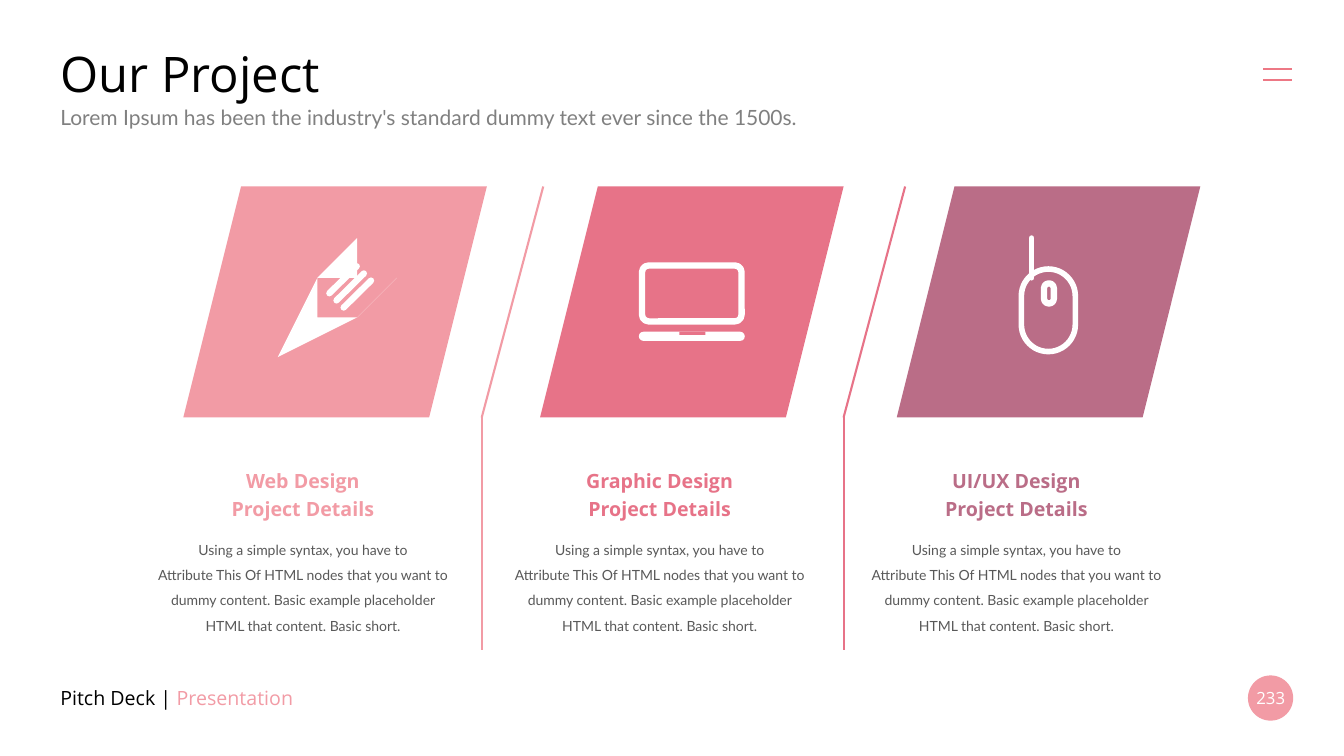
from lxml import etree
from pptx import Presentation
from pptx.dml.color import RGBColor
from pptx.enum import shapes, text
from pptx.oxml import ns
from pptx.util import Cm, Pt

SHAPE = shapes.MSO_SHAPE
PINK, ROSE, MAUVE, WHITE = "F29BA5", "E77388", "BA6D87", "FFFFFF"
TITLE_FONT, BODY_FONT = "Open Sans", "Lato"

presentation = Presentation()
presentation.slide_width, presentation.slide_height = Cm(33.87), Cm(19.05)
slide = presentation.slides.add_slide(presentation.slide_layouts[6])


def paint(shape, fill=None, line=None, width=0):
    """Set fill and outline; None leaves either one off."""
    shape.shadow.inherit = False
    for target, color in ((shape.fill, fill), (shape.line.fill, line)):
        if color:
            target.solid()
            target.fore_color.rgb = RGBColor.from_string(color)
        else:
            target.background()
    if line:
        shape.line.width = Pt(width)
        shape.line._get_or_add_ln().set("cap", "rnd")


def add_text(box, paragraphs, font, anchor="MIDDLE", align="LEFT", spacing=None):
    """Add a text box; each paragraph is a list of (text, colour) runs."""
    frame = slide.shapes.add_textbox(*map(Cm, box)).text_frame
    frame.word_wrap = True
    frame.vertical_anchor = text.MSO_ANCHOR[anchor]
    for index, runs in enumerate(paragraphs):
        paragraph = frame.add_paragraph() if index else frame.paragraphs[0]
        paragraph.alignment = text.PP_ALIGN[align]
        if spacing:
            paragraph.line_spacing = Pt(spacing)
        for words, color in runs:
            run = paragraph.add_run()
            run.text = words
            for name, value in font.items():
                setattr(run.font, name, value)
            run.font.color.rgb = RGBColor.from_string(color)


# Title, subtitle and footer
add_text((1.27, 0.99, 31.32, 1.68), [[("Our Project", "000000")]],
         {"name": TITLE_FONT, "size": Pt(35)})
add_text((1.27, 2.51, 31.32, 0.89),
         [[("Lorem Ipsum has been the industry's standard dummy text "
            "ever since the 1500s.", "808080")]],
         {"name": BODY_FONT, "size": Pt(15)}, anchor="TOP")
add_text((1.27, 17.07, 8.36, 1.02),
         [[("Pitch Deck | ", "000000"), ("Presentation", PINK)]],
         {"name": TITLE_FONT, "size": Pt(14)})
badge = slide.shapes.add_shape(SHAPE.OVAL, Cm(31.45), Cm(17.02), Cm(1.14), Cm(1.14))
paint(badge, PINK)
add_text((31.34, 17.3, 1.37, 0.56), [[("233", WHITE)]],
         {"name": TITLE_FONT, "size": Pt(12)}, align="CENTER")

# Three project columns
projects = [("Web Design", PINK), ("Graphic Design", ROSE), ("UI/UX Design", MAUVE)]
details = [
    "Using a simple syntax, you have to",
    "Attribute This Of HTML nodes that you want to dummy content. "
    "Basic example placeholder HTML that content. Basic short.",
]
for column, (project, color) in enumerate(projects):
    shift = 8.99 * column
    panel = slide.shapes.add_shape(
        SHAPE.PARALLELOGRAM, Cm(4.62 + shift), Cm(4.7), Cm(7.65), Cm(5.82))
    paint(panel, color)
    add_text((3.76 + shift, 11.58, 7.75, 1.63),
             [[(project, color)], [("Project Details", color)]],
             {"name": TITLE_FONT, "size": Pt(14), "bold": True},
             anchor="TOP", align="CENTER", spacing=20)
    add_text((3.61 + shift, 13.31, 8.05, 2.74),
             [[(line, "595959")] for line in details],
             {"name": BODY_FONT, "size": Pt(10)},
             anchor="TOP", align="CENTER", spacing=18)

# Pencil body and mouse cord
pencil = [(9.63, 7.24), (9.58, 7.2), (9.53, 7.24), (8.81, 7.98), (7.82, 8.38),
          (7.67, 8.23), (8.13, 7.24), (8.81, 6.53), (8.81, 6.43), (8.75, 6.39),
          (8.69, 6.43), (7.98, 7.16), (7.24, 8.81), (8.92, 8.08), (9.63, 7.37)]
cord = [(26.1, 6.34), (26.26, 6.37), (26.34, 6.43), (26.4, 6.53), (26.44, 6.78)]
for points, closed, style in [
    (pencil, True, {"fill": WHITE}),
    (cord, False, {"line": WHITE, "width": 4}),
]:
    builder = slide.shapes.build_freeform(*points[0], scale=Cm(1))
    builder.add_line_segments(points[1:], close=closed)
    paint(builder.convert_to_shape(), **style)

# Computer and mouse: box, corner rounding, style
for box, rounding, style in [
    ((16.18, 6.69, 2.51, 1.41), 0.12, {"line": WHITE, "width": 4.5}),  # screen
    ((16.1, 8.36, 2.67, 0.23), 0.5, {"fill": WHITE}),                  # base
    ((17.12, 8.36, 0.66, 0.08), 0, {"fill": ROSE}),                    # notch
    ((25.74, 6.78, 1.36, 2.08), 0.5, {"line": WHITE, "width": 4}),     # mouse
    ((26.31, 7.14, 0.25, 0.51), 0.5, {"line": WHITE, "width": 4.5}),   # wheel
]:
    part = slide.shapes.add_shape(SHAPE.ROUNDED_RECTANGLE, *map(Cm, box))
    part.adjustments[0] = rounding
    paint(part, **style)

# Menu mark, pencil stripes and bent column dividers
lines = [((31.83, y, 32.56, y), "ED7885", 1.5) for y in (1.73, 2.01)]
for stripe in range(3):
    offset = 0.18 * stripe
    ends = (8.66 - offset, 7.75 - offset, 9.35 - offset, 7.07 - offset)
    lines.append((ends, WHITE, 4.5))
for divider, color in enumerate((PINK, ROSE)):
    x = 12.14 + 9.12 * divider
    lines.append(((x, 10.52, x, 16.38), color, 1.5))
    lines.append(((x + 1.55, 4.7, x, 10.52), color, 1.5))
for ends, color, width in lines:
    connector = slide.shapes.add_connector(
        shapes.MSO_CONNECTOR.STRAIGHT, *map(Cm, ends))
    connector.line.color.rgb = RGBColor.from_string(color)
    connector.line.width = Pt(width)
    if color == WHITE:
        connector.line._get_or_add_ln().set("cap", "rnd")
    etree.SubElement(connector._element.spPr, ns.qn("a:effectLst"))

presentation.save("out.pptx")
